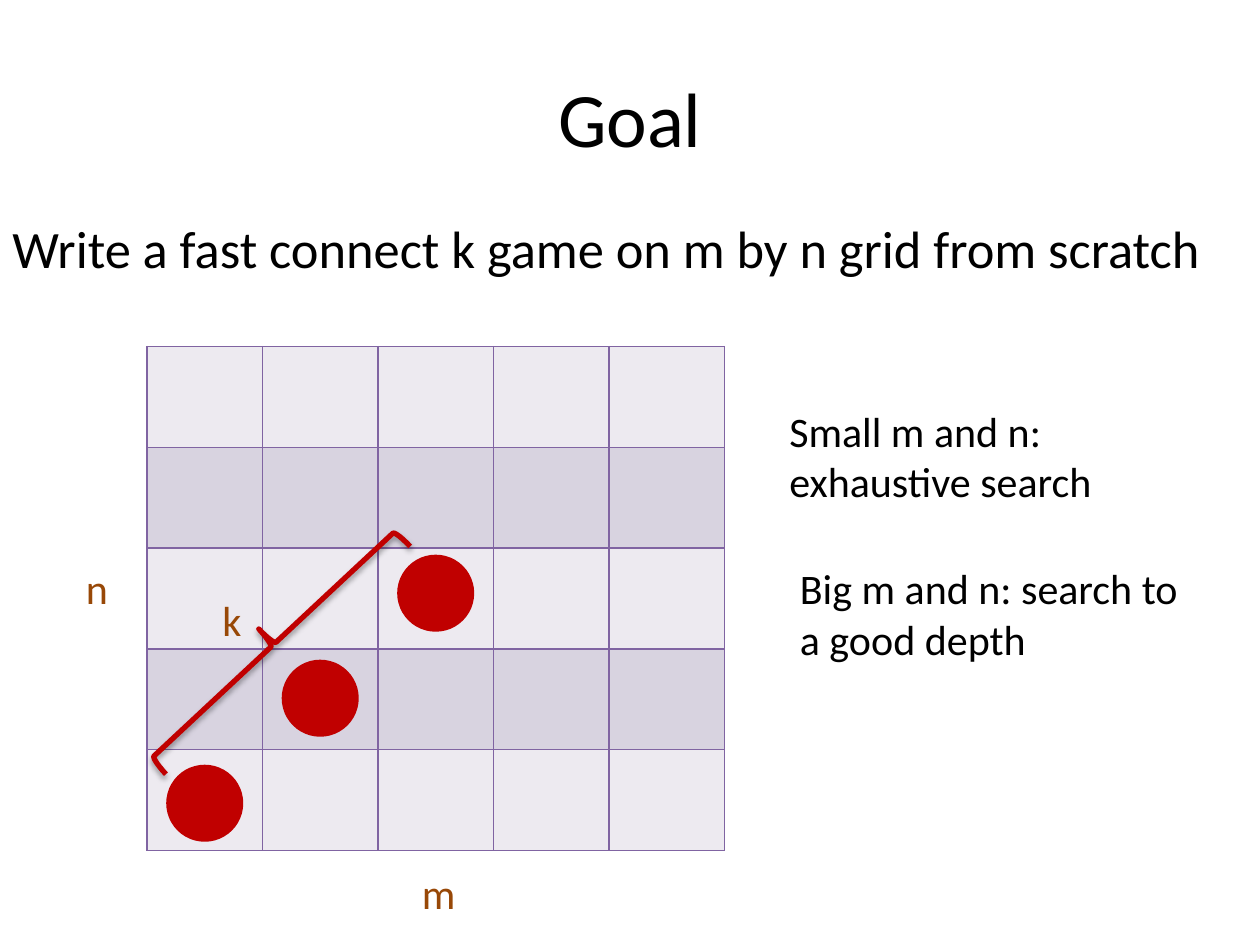
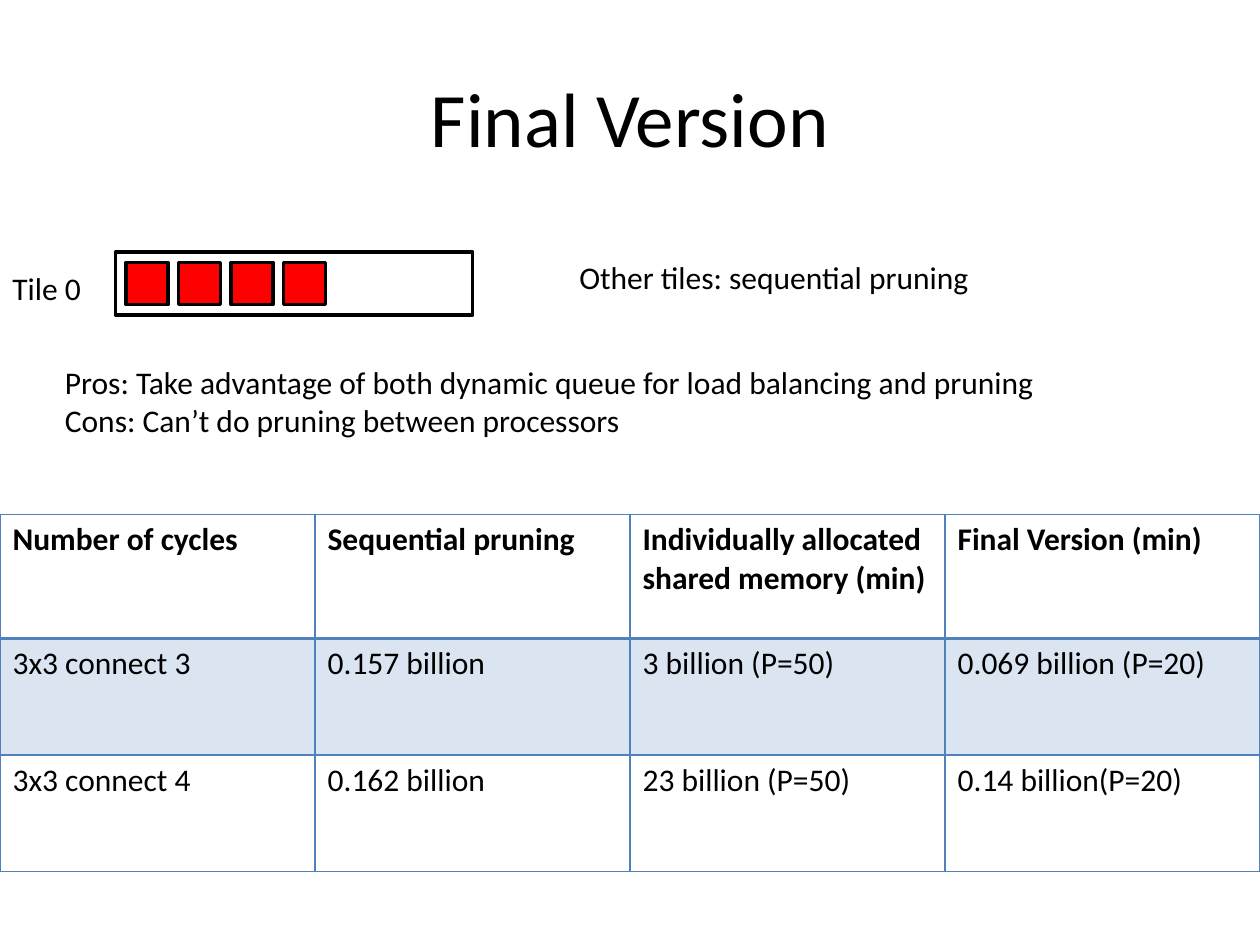
"""Build two slides on a connect k game: its goal and its final version."""
from dataclasses import dataclass

from lxml import etree
from pptx import Presentation
from pptx.dml.color import RGBColor
from pptx.enum.shapes import MSO_SHAPE
from pptx.enum.text import MSO_ANCHOR, PP_ALIGN
from pptx.oxml.ns import qn
from pptx.util import Pt

OVAL, RECT, BRACE = MSO_SHAPE.OVAL, MSO_SHAPE.RECTANGLE, MSO_SHAPE.LEFT_BRACE
TOP, MIDDLE = MSO_ANCHOR.TOP, MSO_ANCHOR.MIDDLE
LEFT, CENTER = PP_ALIGN.LEFT, PP_ALIGN.CENTER


@dataclass(frozen=True)
class Theme:
    font: str = "Calibri"
    ink: str = "000000"
    paper: str = "FFFFFF"
    brown: str = "984807"
    disc: str = "C00000"
    tile: str = "FF0000"
    grid: str = "8064A2"
    bands: tuple = ("EDEAF0", "D8D3E0")
    blue: str = "4F81BD"
    title: int = 44
    lead: int = 30
    label: int = 24
    body: int = 18


T = Theme()

GOAL = "Goal"
GOAL_TEXTS = [
    (["Write a fast connect k game on m by n grid from scratch"],
     (0, 120, 720, 66), T.lead, T.ink),
    (["m"], (234, 492, 60, 36), T.label, T.brown),
    (["n"], (42, 318, 60, 36), T.label, T.brown),
    (["k"], (120, 336, 48, 36), T.label, T.brown),
    (["Small m and n: exhaustive search"], (444, 228, 258, 65.5), T.label, T.ink),
    (["Big m and n: search to a good depth"], (450, 318, 240, 65.5), T.label, T.ink),
]
BOARD = (84, 198, 330, 288)
SIDE = 5
DISCS = 3
BRACE_BOX = (144, 273, 24.5, 190.8)

FINAL = "Final Version"
FINAL_TEXTS = [
    (["Tile 0"], (0, 150, 78, 29), T.body, T.ink),
    (["Other tiles: sequential pruning"], (324, 144, 258, 29), T.body, T.ink),
    (["Pros: Take advantage of both dynamic queue for load balancing and pruning",
      "Cons: Can’t do pruning between processors"],
     (30, 204, 624, 51), T.body, T.ink),
]
QUEUE = (66, 144, 204, 36)
TILES = 4
CYCLES = [
    ("Number of cycles", "Sequential pruning",
     "Individually allocated shared memory (min)", "Final Version (min)"),
    ("3x3 connect 3", "0.157 billion", "3 billion (P=50)", "0.069 billion (P=20)"),
    ("3x3 connect 4", "0.162 billion", "23 billion (P=50)", "0.14 billion(P=20)"),
]
CYCLE_BOX = (0, 294, 720, 204)
CYCLE_ROWS = (70.6, 66.7, 66.7)


def pts(box):
    return [Pt(v) for v in box]


def rgb(code):
    return RGBColor.from_string(code)


def write(frame, lines, size, color=T.ink, bold=False, align=LEFT):
    for i, line in enumerate(lines):
        para = frame.paragraphs[0] if i == 0 else frame.add_paragraph()
        para.alignment = align
        run = para.add_run()
        run.text = line
        font = run.font
        font.name, font.size, font.bold = T.font, Pt(size), bold
        font.color.rgb = rgb(color)


def add_text(slide, lines, box, size, color=T.ink, align=LEFT, anchor=TOP):
    frame = slide.shapes.add_textbox(*pts(box)).text_frame
    frame.word_wrap = True
    frame.vertical_anchor = anchor
    write(frame, lines, size, color, align=align)


def add_form(slide, kind, box, fill, line, width=2):
    form = slide.shapes.add_shape(kind, *pts(box))
    form.shadow.inherit = False
    if fill:
        form.fill.solid()
        form.fill.fore_color.rgb = rgb(fill)
    else:
        form.fill.background()
    form.line.color.rgb = rgb(line)
    form.line.width = Pt(width)
    return form


def add_node(parent, tag, **attrs):
    return etree.SubElement(parent, qn(tag), attrs)


def cast(form):
    effect = form._element.spPr.find(qn("a:effectLst"))
    shade = add_node(effect, "a:outerShdw", blurRad=str(Pt(3.1)),
                     dist=str(Pt(1.8)), dir="5400000", rotWithShape="0")
    tone = add_node(shade, "a:srgbClr", val=T.ink)
    add_node(tone, "a:alpha", val="35000")


def edge(cell, color, widths):
    props = cell._tc.get_or_add_tcPr()
    for i, (side, width) in enumerate(zip("LRTB", widths)):
        line = etree.Element(qn("a:ln" + side), w=str(Pt(width)))
        fill = add_node(line, "a:solidFill")
        add_node(fill, "a:srgbClr", val=color)
        props.insert(i, line)


def paint(cell, color, alpha=None):
    cell.fill.solid()
    cell.fill.fore_color.rgb = rgb(color)
    if alpha:
        tone = cell._tc.tcPr.find(qn("a:solidFill"))[0]
        add_node(tone, "a:alpha", val=str(alpha * 1000))


def add_grid(slide, box, heights, count):
    table = slide.shapes.add_table(len(heights), count, *pts(box)).table
    table.first_row = table.horz_banding = False
    for col in table.columns:
        col.width = Pt(box[2] / count)
    for row, height in zip(table.rows, heights):
        row.height = Pt(height)
    return table


def add_slide(deck, title, texts):
    slide = deck.slides.add_slide(deck.slide_layouts[6])
    add_text(slide, [title], (36, 21.6, 648, 90), T.title, align=CENTER, anchor=MIDDLE)
    for text in texts:
        add_text(slide, *text)
    return slide


def draw_goal(deck):
    slide = add_slide(deck, GOAL, GOAL_TEXTS)
    board = add_grid(slide, BOARD, [BOARD[3] / SIDE] * SIDE, SIDE)
    for r in range(SIDE):
        for c in range(SIDE):
            cell = board.cell(r, c)
            paint(cell, T.bands[r % 2])
            edge(cell, T.grid, (1, 1, 1, 1))
    for i in range(DISCS):
        add_form(slide, OVAL, (96 + 66 * i, 438 - 60 * i, 42, 42), T.disc, T.disc)
    brace = add_form(slide, BRACE, BRACE_BOX, None, T.disc, 3)
    brace.rotation = 47
    cast(brace)
    label = slide.shapes[4]._element
    label.getparent().append(label)


def draw_final(deck):
    slide = add_slide(deck, FINAL, FINAL_TEXTS)
    add_form(slide, RECT, QUEUE, T.paper, T.ink)
    for i in range(TILES):
        add_form(slide, RECT, (72 + 30 * i, 150, 24, 24), T.tile, T.ink)
    table = add_grid(slide, CYCLE_BOX, CYCLE_ROWS, len(CYCLES[0]))
    for r, row in enumerate(CYCLES):
        for c, text in enumerate(row):
            cell = table.cell(r, c)
            write(cell.text_frame, [text], T.body, bold=r == 0)
            if r == 1:
                paint(cell, T.blue, 20)
            else:
                cell.fill.background()
            edge(cell, T.blue, (1, 1, 2 if r == 1 else 1, 2 if r == 0 else 1))


def main():
    deck = Presentation()
    deck.slide_width, deck.slide_height = Pt(720), Pt(540)
    draw_goal(deck)
    draw_final(deck)
    deck.save("out.pptx")


if __name__ == "__main__":
    main()
